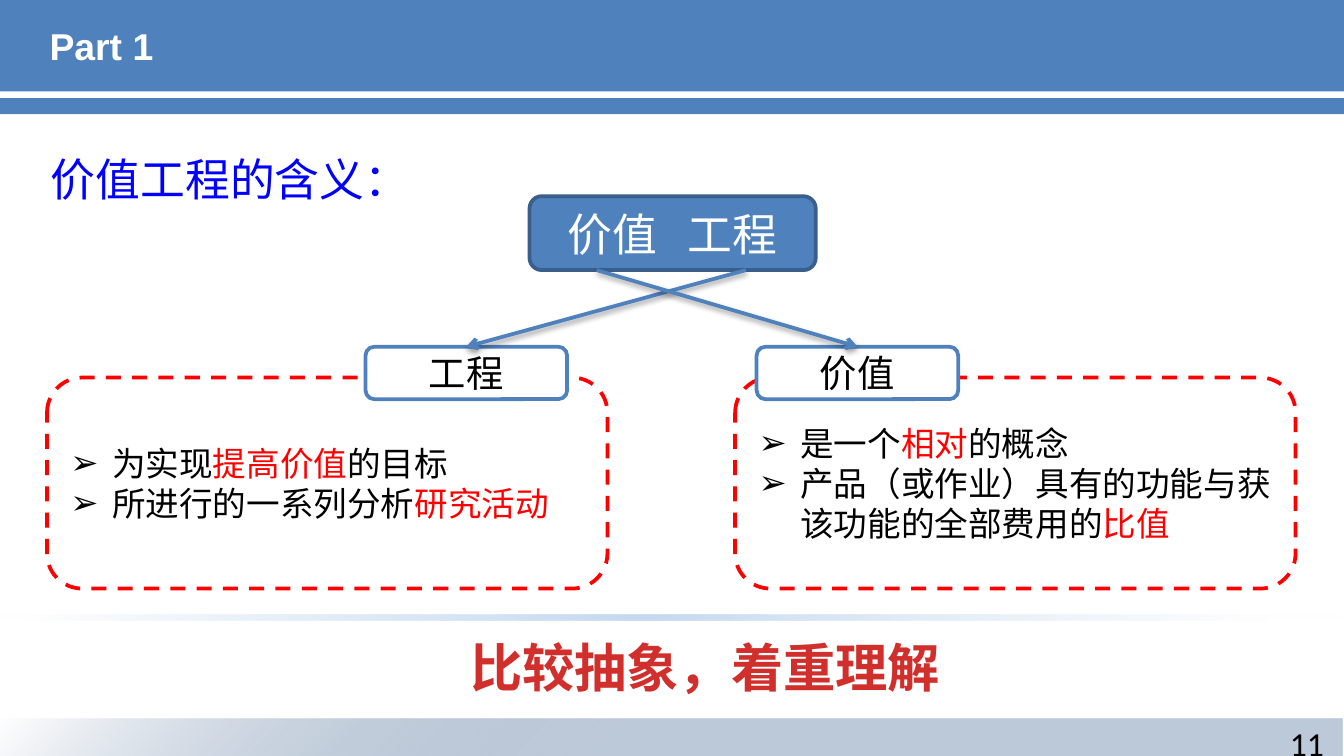
from typing import NamedTuple, Optional

from lxml.etree import SubElement
from pptx import Presentation
from pptx.dml.color import RGBColor
from pptx.enum.dml import MSO_LINE_DASH_STYLE as Dash
from pptx.enum.shapes import MSO_CONNECTOR as Connector, MSO_SHAPE as Shape
from pptx.enum.text import MSO_ANCHOR as Anchor, PP_ALIGN as Align
from pptx.oxml.ns import qn
from pptx.util import Inches, Pt

BLUE = RGBColor(0x4F, 0x81, 0xBD)
DARK_BLUE = RGBColor(0x3A, 0x5F, 0x8C)
HEADING_BLUE = RGBColor(0x00, 0x00, 0xFF)
RED = RGBColor(0xFF, 0x00, 0x00)
WHITE = RGBColor(0xFF, 0xFF, 0xFF)
BLACK = RGBColor(0x00, 0x00, 0x00)
NAVY = RGBColor(0x1F, 0x49, 0x7D)
PALE_BLUE = RGBColor(0xC6, 0xD9, 0xF1)
CORAL = RGBColor(0xFC, 0x7C, 0x7A)
CRIMSON = RGBColor(0xD0, 0x2F, 0x2C)
DEEP_RED = RGBColor(0xC7, 0x05, 0x00)
CJK = "Noto Sans CJK SC"


class Box(NamedTuple):
    left: float
    top: float
    width: float
    height: float


class Style(NamedTuple):
    size: int
    color: RGBColor
    face: str = CJK
    bold: bool = False


class Stop(NamedTuple):
    position: int
    color: RGBColor
    opacity: int = 100


class Span(NamedTuple):
    text: str
    color: RGBColor = BLACK


class Concept(NamedTuple):
    name: str
    label_left: float
    panel_left: float
    arrow_start: float
    points: list[list[Span]]


def add_child(parent, tag: str, **attributes):
    return SubElement(parent, qn(tag), {k: str(v) for k, v in attributes.items()})


def set_gradient(fill, owner, stops: list[Stop], angle: Optional[int] = None) -> None:
    """Linear at the given angle, or else radial from the bottom right corner."""
    fill.gradient()
    gradient = owner.find(qn("a:gradFill"))
    for child in list(gradient):
        gradient.remove(child)
    stop_list = add_child(gradient, "a:gsLst")
    for stop in stops:
        mark = add_child(stop_list, "a:gs", pos=stop.position * 1000)
        color = add_child(mark, "a:srgbClr", val=stop.color)
        if stop.opacity < 100:
            add_child(color, "a:alpha", val=stop.opacity * 1000)
    if angle is None:
        path = add_child(gradient, "a:path", path="circle")
        add_child(path, "a:fillToRect", l=100000, t=100000)
    else:
        add_child(gradient, "a:lin", ang=angle * 60000, scaled=0)


def add_run(paragraph, text: str, style: Style):
    run = paragraph.add_run()
    run.text = text
    run.font.size = Pt(style.size)
    run.font.bold = style.bold
    run.font.color.rgb = style.color
    run.font.name = style.face
    add_child(run.font._element, "a:ea", typeface=style.face)
    return run


def add_block(slide, kind: Shape, box: Box, fill: Optional[RGBColor] = None,
              line: Optional[RGBColor] = None):
    block = slide.shapes.add_shape(kind, *map(Inches, box))
    block.shadow.inherit = False
    if fill is None:
        block.fill.background()
    else:
        block.fill.solid()
        block.fill.fore_color.rgb = fill
    if line is None:
        block.line.fill.background()
    else:
        block.line.color.rgb = line
        block.line.width = Pt(2)
    block.text_frame.vertical_anchor = Anchor.MIDDLE
    return block


def add_text(slide, box: Box, text: str, style: Style, align: Align = Align.LEFT,
             anchor: Anchor = Anchor.TOP, wrap: bool = True):
    frame = slide.shapes.add_textbox(*map(Inches, box)).text_frame
    frame.word_wrap = wrap
    frame.vertical_anchor = anchor
    frame.paragraphs[0].alignment = align
    return add_run(frame.paragraphs[0], text, style)


def add_points(frame, points: list[list[Span]]) -> None:
    for index, spans in enumerate(points):
        paragraph = frame.add_paragraph() if index else frame.paragraphs[0]
        paragraph.alignment = Align.LEFT
        properties = paragraph._p.get_or_add_pPr()
        properties.set("marL", str(Inches(0.31)))
        properties.set("indent", str(-Inches(0.31)))
        add_child(properties, "a:buFont", typeface="Arial")
        add_child(properties, "a:buChar", char="➢")
        for span in spans:
            add_run(paragraph, span.text, Style(18, span.color))


def add_arrow(slide, start_x: float, start_y: float, label) -> None:
    arrow = slide.shapes.add_connector(
        Connector.STRAIGHT, Inches(start_x), Inches(start_y), label.left, label.top)
    arrow.end_connect(label, 0)
    arrow.line.color.rgb = BLUE
    arrow.line.width = Pt(2)
    add_child(arrow.line._get_or_add_ln(), "a:tailEnd", type="arrow")
    effects = add_child(arrow._element.spPr, "a:effectLst")
    shadow = add_child(effects, "a:outerShdw", blurRad=Pt(3.1), dist=Pt(1.6),
                       dir=90 * 60000, rotWithShape=0)
    add_child(add_child(shadow, "a:srgbClr", val=BLACK), "a:alpha", val=38000)


def add_concept(slide, concept: Concept) -> None:
    panel = add_block(slide, Shape.ROUNDED_RECTANGLE,
                      Box(concept.panel_left, 2.81, 4.17, 1.57), line=RED)
    panel.line.dash_style = Dash.DASH
    add_points(panel.text_frame, concept.points)
    label = add_block(slide, Shape.ROUNDED_RECTANGLE,
                      Box(concept.label_left, 2.58, 1.5, 0.39), WHITE, BLUE)
    paragraph = label.text_frame.paragraphs[0]
    paragraph.alignment = Align.CENTER
    add_run(paragraph, concept.name, Style(20, BLACK))
    add_arrow(slide, concept.arrow_start, 2.01, label)


CONCEPTS = [
    Concept("工程", 2.72, 0.35, 5.55, [
        [Span("为实现"), Span("提高价值", RED), Span("的目标")],
        [Span("所进行的一系列分析"), Span("研究活动", RED)],
    ]),
    Concept("价值", 5.63, 5.47, 4.44, [
        [Span("是一个"), Span("相对", RED), Span("的概念")],
        [Span("产品（或作业）具有的功能与获该功能的全部费用的"), Span("比值", RED)],
    ]),
]


def main() -> None:
    deck = Presentation()
    deck.slide_width = Inches(10)
    deck.slide_height = deck.slide_width * 9 // 16
    slide = deck.slides.add_slide(deck.slide_layouts[6])

    # Header and footer
    add_block(slide, Shape.RECTANGLE, Box(0, -0.01, 10, 0.69), BLUE)
    add_block(slide, Shape.RECTANGLE, Box(-0.01, 0.73, 10.01, 0.12), BLUE)
    add_text(slide, Box(0.27, 0.02, 9.45, 0.64), "Part 1",
             Style(20, WHITE, "Arial", True), anchor=Anchor.MIDDLE)
    footer = add_block(slide, Shape.RECTANGLE, Box(0, 5.35, 9.99, 0.27))
    set_gradient(footer.fill, footer._element.spPr,
                 [Stop(55, NAVY, 29), Stop(100, WHITE, 69)])
    add_text(slide, Box(7.62, 5.33, 2.33, 0.3), "11",
             Style(18, BLACK, "Calibri"), Align.RIGHT)

    # Heading and the term being split
    add_text(slide, Box(0.28, 1.08, 5.75, 0.5), "价值工程的含义：", Style(24, HEADING_BLUE))
    term = add_block(slide, Shape.ROUNDED_RECTANGLE, Box(3.94, 1.46, 2.13, 0.55),
                     BLUE, DARK_BLUE)
    paragraph = term.text_frame.paragraphs[0]
    paragraph.alignment = Align.CENTER
    term_style = Style(24, WHITE)
    add_run(paragraph, "价值", term_style)
    gap = add_run(paragraph, " ", term_style)
    gap.font._element.set("spc", "1080")
    add_run(paragraph, "工程", term_style)

    # The two concepts
    for concept in CONCEPTS:
        add_concept(slide, concept)

    # Divider and closing remark
    divider = add_block(slide, Shape.RECTANGLE, Box(-0.01, 4.57, 9.99, 0.05))
    set_gradient(divider.fill, divider._element.spPr,
                 [Stop(5, WHITE, 69), Stop(52, PALE_BLUE), Stop(98, WHITE)])
    remark = add_text(slide, Box(3.37, 4.68, 3.75, 0.57), "比较抽象，着重理解",
                      Style(28, CRIMSON, "Calibri", True), Align.CENTER, wrap=False)
    set_gradient(remark.font.fill, remark.font._element,
                 [Stop(0, CORAL), Stop(75, CRIMSON), Stop(100, DEEP_RED)], angle=90)

    deck.save("out.pptx")


if __name__ == "__main__":
    main()
